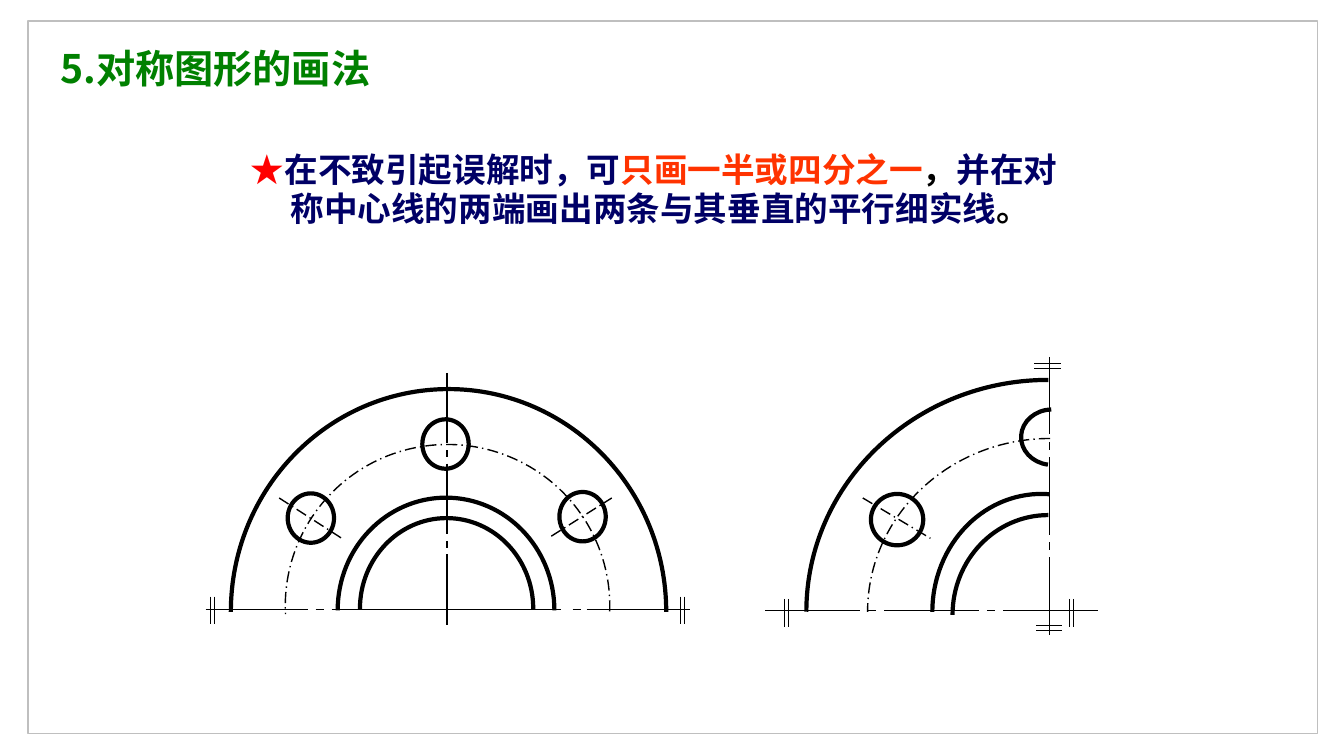
from dataclasses import dataclass
from math import ceil, cos, radians, sin, tan

from lxml.etree import SubElement
from pptx import Presentation
from pptx.dml.color import RGBColor
from pptx.enum.dml import MSO_LINE
from pptx.enum.shapes import MSO_CONNECTOR, MSO_SHAPE
from pptx.enum.text import MSO_ANCHOR
from pptx.oxml.ns import qn
from pptx.util import Pt


@dataclass(frozen=True)
class Theme:
    font: str = "Noto Sans CJK SC"
    title_size: int = 28
    body_size: int = 24
    frame: str = "BFBFBF"
    ink: str = "000000"
    title: str = "008000"
    star: str = "FF0000"
    body: str = "000066"
    accent: str = "FF3300"
    # Line styles: width in points, dash
    thick: tuple = (3, None)
    thin: tuple = (0.75, None)
    centre: tuple = (1, MSO_LINE.LONG_DASH_DOT)


theme = Theme()


def stroke(sp, style, color=theme.ink):
    """Outline a shape or connector, without fill or shadow."""
    sp.line.width = Pt(style[0])
    sp.line.color.rgb = RGBColor.from_string(color)
    if style[1]:
        sp.line.dash_style = style[1]
    if hasattr(sp, "fill"):
        sp.fill.background()
        sp.shadow.inherit = False
    else:
        SubElement(sp._element.spPr, qn("a:effectLst"))


def add_text(box, runs, size, indent, spacing):
    """Add a text box with one hanging paragraph of (text, colour) runs."""
    tf = s.shapes.add_textbox(*map(Pt, box)).text_frame
    tf.word_wrap = True
    p = tf.paragraphs[0]
    p.line_spacing = spacing
    pPr = p._p.get_or_add_pPr()
    pPr.set("marL", str(Pt(indent)))
    pPr.set("indent", str(Pt(-indent)))
    for text, color in runs:
        r = p.add_run()
        r.text = text
        r.font.size = Pt(size)
        r.font.bold = True
        r.font.name = theme.font
        r.font.color.rgb = RGBColor.from_string(color)
        SubElement(r._r.get_or_add_rPr(), qn("a:ea"), typeface=theme.font)
    return tf


prs = Presentation()
prs.slide_width, prs.slide_height = Pt(960), Pt(540)
s = prs.slides.add_slide(prs.slide_layouts[6])

frame = s.shapes.add_shape(MSO_SHAPE.RECTANGLE, Pt(20), Pt(15), Pt(921), Pt(509))
stroke(frame, (1, None), theme.frame)

tf = add_text((36, 31, 375.8, 38.2), [("5.对称图形的画法", theme.title)],
              theme.title_size, 66.2, 0.9)
tf.vertical_anchor = MSO_ANCHOR.BOTTOM

# Arcs: centre x, centre y, radius x, radius y, from and to angle, style
# Holes: left, top, width, height
# Hole axes and ticks: x1, y1, x2, y2
# Chain axes: vertical?, position, start, long dash, gap
quarter_view = {
    "arcs": [
        (748.8, 437, 172.8, 165.6, 90, 180, theme.thick),
        (743.8, 437, 77.8, 84.2, 86, 180, theme.thick),
        (750, 437, 130.3, 123.8, 90, 180, theme.centre),
        (748.8, 439.2, 68.4, 71.3, 90, 180, theme.thick),
        (751.7, 312.3, 22.3, 19.8, 92, 262, theme.thick),
    ],
    "holes": [(622.1, 352.8, 37.4, 36.7)],
    "hole_axes": [(616.3, 355.7, 664.6, 384.5)],
    "ticks": [(x, 427.7, x, 447.8) for x in (560.2, 563, 763.9, 766.8)]
    + [(738.7, y, 758.2, y) for y in (259.9, 263.5)]
    + [(740.2, y, 758.9, y) for y in (447.1, 450.7)],
    "chains": [(True, 749.9, 254.9, 55.4, 5.4), (False, 436.3, 546.5, 67.7, 5.76)],
}
half_view = {
    "arcs": [
        (319.7, 432.7, 115.9, 115.2, -2, 183, theme.centre),
        (320.4, 437, 155.5, 159.1, 0, 180, theme.thick),
        (319, 434.9, 61.9, 64.8, 0, 180, theme.thick),
        (318.6, 436, 77.4, 80.5, 0, 180, theme.thick),
    ],
    "holes": [(x, y, 33.1, 35.3) for x, y in ((399.6, 351.4), (301.7, 299.5), (205.5, 352.4))],
    "hole_axes": [(393.8, 383, 437, 355.7), (199.4, 355.7, 244.1, 384.5)],
    "ticks": [(x, 426.2, x, 445.7) for x in (150.5, 153.4, 486.3, 489.1)]
    + [(x1, 435.2, x2, 435.2) for x1, x2 in (
        (146.9, 220.3), (225.4, 231.1), (236.9, 321.8),
        (316.1, 401), (409, 414.7), (419, 493.2))],
    "chains": [(True, 319.3, 266.4, 50.4, 4.8)],
}

for view in (quarter_view, half_view):
    shapes = s.shapes.add_group_shape().shapes
    for cx, cy, rx, ry, first, last, style in view["arcs"]:
        # Each piece of up to 90 degrees is one curve with two control points
        pieces = ceil((last - first) / 90)
        step = radians(last - first) / pieces
        k = 4 / 3 * tan(step / 4)
        units = [(cos(radians(first)), sin(radians(first)))]
        for i in range(pieces):
            a = radians(first) + i * step
            b = a + step
            units += [(cos(a) - k * sin(a), sin(a) + k * cos(a)),
                      (cos(b) + k * sin(b), sin(b) - k * cos(b)),
                      (cos(b), sin(b))]
        points = [(Pt(cx + rx * u), Pt(cy - ry * v)) for u, v in units]
        builder = shapes.build_freeform(*points[0])
        builder.add_line_segments(points[1:], close=False)
        arc = builder.convert_to_shape()
        outline = arc._element.find(".//" + qn("a:path"))
        segments = outline.findall(qn("a:lnTo"))
        for i in range(0, len(segments), 3):
            curve = SubElement(outline, qn("a:cubicBezTo"))
            for segment in segments[i:i + 3]:
                curve.append(segment[0])
                outline.remove(segment)
        stroke(arc, style)

    for hole in view["holes"]:
        stroke(shapes.add_shape(MSO_SHAPE.OVAL, *map(Pt, hole)), theme.thick)

    lines = [(ends, theme.centre) for ends in view["hole_axes"]]
    lines += [(ends, theme.thin) for ends in view["ticks"]]
    for vertical, at, start, dash, gap in view["chains"]:
        for i in range(5):
            # Long and short dashes alternate; a short dash is as long as a gap
            end = start + (gap if i % 2 else dash)
            ends = (at, start, at, end) if vertical else (start, at, end, at)
            lines.append((ends, theme.thin))
            start = end + gap
    for ends, style in lines:
        stroke(shapes.add_connector(MSO_CONNECTOR.STRAIGHT, *map(Pt, ends)), style)

add_text((172.1, 103.2, 601.2, 65.5), [
    ("★", theme.star),
    ("在不致引起误解时，可", theme.body),
    ("只画一半或四分之一", theme.accent),
    ("，", theme.ink),
    ("并在对称中心线的两端画出两条与其垂直的平行细实线", theme.body),
    ("。", theme.ink),
], theme.body_size, 28.4, Pt(28.3))

prs.save("out.pptx")
